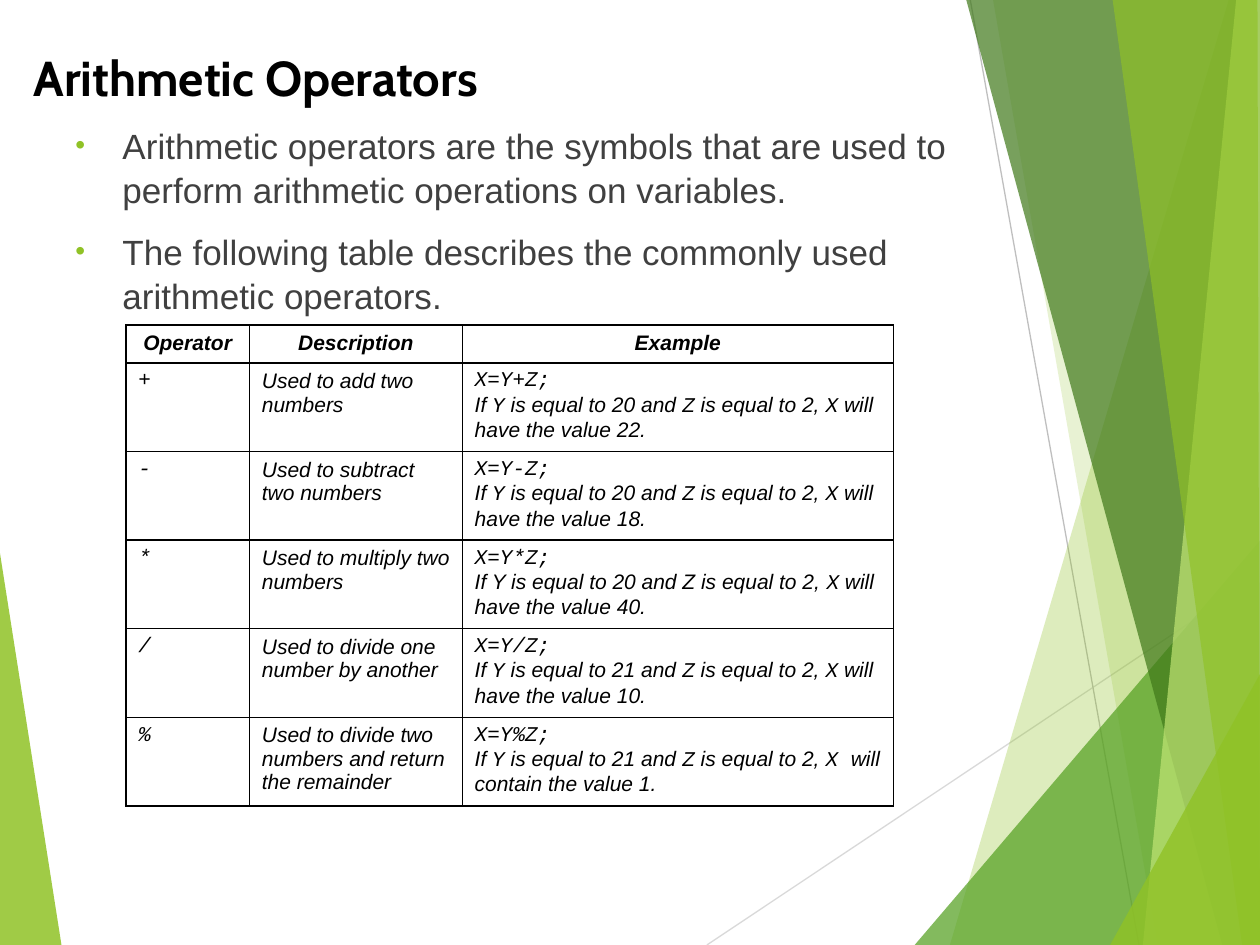
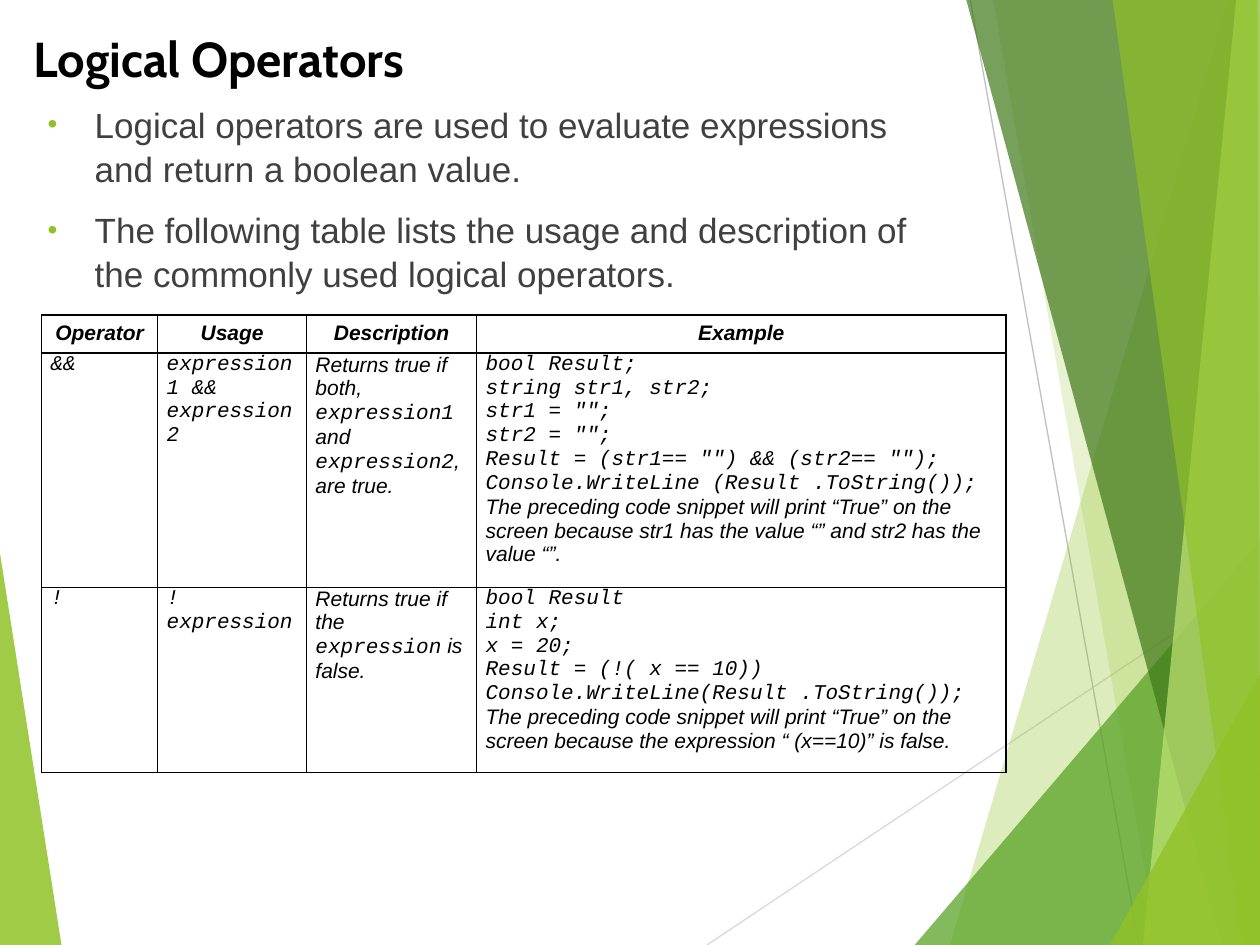
from lxml import etree
from pptx import Presentation
from pptx.dml.color import RGBColor
from pptx.enum.shapes import MSO_CONNECTOR
from pptx.enum.text import MSO_AUTO_SIZE, PP_ALIGN
from pptx.oxml.ns import qn
from pptx.util import Cm, Pt

STRAIGHT = MSO_CONNECTOR.STRAIGHT
CENTER, LEFT = PP_ALIGN.CENTER, PP_ALIGN.LEFT
GROW = MSO_AUTO_SIZE.SHAPE_TO_FIT_TEXT

LIME = RGBColor(0x90, 0xC2, 0x26)
PALE_LIME = RGBColor(0xC0, 0xE4, 0x74)
GREEN = RGBColor(0x54, 0xA0, 0x21)
DARK_GREEN = RGBColor(0x3F, 0x78, 0x19)
LIGHT_GRAY = RGBColor(0xD9, 0xD9, 0xD9)
MID_GRAY = RGBColor(0xBF, 0xBF, 0xBF)
TEXT_GRAY = RGBColor(0x40, 0x40, 0x40)
BLACK = RGBColor(0, 0, 0)
WHITE = RGBColor(0xFF, 0xFF, 0xFF)

TITLE_FONT, BODY_FONT, CODE_FONT = "Cabin", "Arial", "Courier New"

# All positions are in centimetres.
W, H = 25.4, 19.05
RAYS = [
    ((14.25, H), (W, 11.61), LIGHT_GRAY),
    ((19.56, 0), (22.96, H), MID_GRAY),
]
# Colour, opacity in percent, corners
FACETS = [
    (LIME, 85, [(0, 11.15), (1.24, H), (0, H)]),
    (LIME, 30, [(24.77, 0), (19.15, H), (W, H), (W, 0)]),
    (LIME, 20, [(20.02, 0), (23.34, H), (W, H), (W, 0)]),
    (GREEN, 72, [(18.44, H), (W, 10.9), (W, H)]),
    (DARK_GREEN, 70, [(19.48, 0), (24.64, H), (W, H), (W, 0)]),
    (PALE_LIME, 70, [(24.92, 0), (23.04, H), (W, H), (W, 0)]),
    (LIME, 65, [(22.43, 0), (25.04, H), (W, H), (25.35, 0)]),
    (LIME, 80, [(22.38, H), (W, 13.59), (W, H)]),
]

# Backticks mark code; a line break starts a new paragraph.
SLIDES = [
    {
        "title": "Arithmetic Operators",
        "title_top": 0.84,
        "body_box": (1.27, 2.34, 18.85, 13.34),
        "body_fill": None,
        "bullets": [
            "Arithmetic operators are the symbols that are used to perform "
            "arithmetic operations on variables.",
            "The following table describes the commonly used arithmetic operators.",
        ],
        "table_at": (2.54, 6.55),
        "columns": [2.49, 4.29, 8.69],
        "row_heights": [0.76] + [1.78] * 5,
        "cell_margins": (0.25, 0.13),
        "rows": [
            ["Operator", "Description", "Example"],
            ["`+`", "Used to add two numbers",
             "`X=Y+Z;`\nIf `Y` is equal to 20 and `Z` is equal to 2, `X` will have the value 22."],
            ["`-`", "Used to subtract two numbers",
             "`X=Y-Z;`\nIf `Y` is equal to 20 and `Z` is equal to 2, `X` will have the value 18."],
            ["`*`", "Used to multiply two numbers",
             "`X=Y*Z;`\nIf Y is equal to 20 and Z is equal to 2, `X` will have the value 40."],
            ["`/`", "Used to divide one number by another",
             "`X=Y/Z;`\nIf `Y` is equal to 21 and `Z` is equal to 2, `X` will have the value 10."],
            ["`%`", "Used to divide two numbers and return the remainder",
             "`X=Y%Z;`\nIf `Y` is equal to 21 and `Z` is equal to 2, `X `will contain the value 1."],
        ],
    },
    {
        "title": "Logical Operators",
        "title_top": 0.46,
        "body_box": (0.71, 1.91, 18.52, 11.05),
        "body_fill": WHITE,
        "bullets": [
            "Logical operators are used to evaluate expressions and return a boolean value.",
            "The following table lists the usage and description of the commonly "
            "used logical operators.",
        ],
        "table_at": (0.84, 6.35),
        "columns": [2.34, 3.0, 3.43, 10.67],
        "row_heights": [0.76, 4.72, 3.73],
        "cell_margins": (0.18, 0),
        "rows": [
            ["Operator", "Usage", "Description", "Example"],
            ["`&&`", "`expression1 && expression2`",
             "Returns true if both, `expression1` and `expression2`, are true.",
             '`bool Result;`\n`string str1, str2;`\n`str1 = "";`\n`str2 = "";`\n'
             '`Result = (str1== "") && (str2== "");`\n'
             "`Console.WriteLine (Result .ToString());`\n"
             "The preceding code snippet will print “True” on the screen because "
             "str1 has the value “” and str2 has the value “”."],
            ["`!`", "`! expression`",
             "Returns true if the `expression` is false.",
             "`bool Result`\n`int x;`\n`x = 20;`\n`Result = (!( x == 10))`\n"
             "`Console.WriteLine(Result .ToString());`\n"
             "The preceding code snippet will print “True” on the screen because "
             "the expression “ (x==10)” is false."],
        ],
    },
]
HEADER_MARGINS = (0.25, 0.13)


def cm(values):
    return [Cm(v) for v in values]


def add_run(p, text, font, size, color, bold=False, italic=False):
    r = p.add_run()
    r.text = text
    r.font.name, r.font.size = font, Pt(size)
    r.font.bold, r.font.italic = bold, italic
    r.font.color.rgb = color


def add_paragraph(tf, index):
    return tf.add_paragraph() if index else tf.paragraphs[0]


def add_background(slide):
    for start, end, color in RAYS:
        line = slide.shapes.add_connector(STRAIGHT, *cm(start + end))
        line.line.color.rgb, line.line.width = color, Pt(0.75)
        etree.SubElement(line._element.spPr, qn("a:effectLst"))
    for color, opacity, corners in FACETS:
        first, *others = [cm(corner) for corner in corners]
        builder = slide.shapes.build_freeform(*first)
        builder.add_line_segments(others)
        sp = builder.convert_to_shape()
        sp.shadow.inherit = False
        sp.line.fill.background()
        sp.fill.solid()
        sp.fill.fore_color.rgb = color
        rgb = sp._element.spPr.find(".//" + qn("a:srgbClr"))
        etree.SubElement(rgb, qn("a:alpha"), val=str(opacity * 1000))


def add_title(slide, text, top):
    tf = slide.shapes.add_textbox(*cm((0.43, top, 24.33, 1.45))).text_frame
    tf.word_wrap = True
    tf.auto_size = GROW
    add_run(tf.paragraphs[0], text, TITLE_FONT, 28, BLACK, bold=True)


def add_bullets(slide, bullets, box, fill):
    sp = slide.shapes.add_textbox(*cm(box))
    if fill is not None:
        sp.fill.solid()
        sp.fill.fore_color.rgb = fill
    tf = sp.text_frame
    tf.word_wrap = True
    for i, text in enumerate(bullets):
        p = add_paragraph(tf, i)
        p.space_before, p.line_spacing = Pt(10), 1.05
        add_run(p, text, BODY_FONT, 20, TEXT_GRAY)
        pPr = p._p.get_or_add_pPr()
        pPr.set("marL", str(Cm(0.95)))
        pPr.set("indent", str(-Cm(0.95)))
        color = etree.SubElement(pPr, qn("a:buClr"))
        etree.SubElement(color, qn("a:srgbClr"), val=str(LIME))
        etree.SubElement(pPr, qn("a:buSzPct"), val="80000")
        etree.SubElement(pPr, qn("a:buFont"), typeface=BODY_FONT)
        etree.SubElement(pPr, qn("a:buChar"), char="•")


def set_borders(cell):
    tcPr = cell._tc.get_or_add_tcPr()
    for i, side in enumerate(("a:lnL", "a:lnR", "a:lnT", "a:lnB")):
        ln = etree.Element(qn(side), w=str(Pt(1)))
        fill = etree.SubElement(ln, qn("a:solidFill"))
        etree.SubElement(fill, qn("a:srgbClr"), val=str(BLACK))
        tcPr.insert(i, ln)


def fill_cell(cell, text, margins, header):
    cell.fill.background()
    set_borders(cell)
    side, end = cm(margins)
    cell.margin_left = cell.margin_right = side
    cell.margin_top = cell.margin_bottom = end
    for i, line in enumerate(text.split("\n")):
        p = add_paragraph(cell.text_frame, i)
        p.alignment = CENTER if header else LEFT
        for j, part in enumerate(line.split("`")):
            if part:
                font = CODE_FONT if j % 2 else BODY_FONT
                add_run(p, part, font, 12, BLACK, bold=header, italic=True)


def add_operator_table(slide, rows, at, columns, heights, margins):
    size = (sum(columns), sum(heights))
    table = slide.shapes.add_table(len(rows), len(columns), *cm(at + size)).table
    table.first_row = table.horz_banding = False
    for column, width in zip(table.columns, columns):
        column.width = Cm(width)
    for i, (row, height) in enumerate(zip(table.rows, heights)):
        row.height = Cm(height)
        for cell, text in zip(row.cells, rows[i]):
            fill_cell(cell, text, margins if i else HEADER_MARGINS, header=i == 0)


def main():
    prs = Presentation()
    prs.slide_width, prs.slide_height = Cm(W), Cm(H)
    for content in SLIDES:
        slide = prs.slides.add_slide(prs.slide_layouts[6])
        add_background(slide)
        add_bullets(slide, content["bullets"], content["body_box"], content["body_fill"])
        add_title(slide, content["title"], content["title_top"])
        add_operator_table(slide, content["rows"], content["table_at"], content["columns"],
                           content["row_heights"], content["cell_margins"])
    prs.save("out.pptx")


if __name__ == "__main__":
    main()
